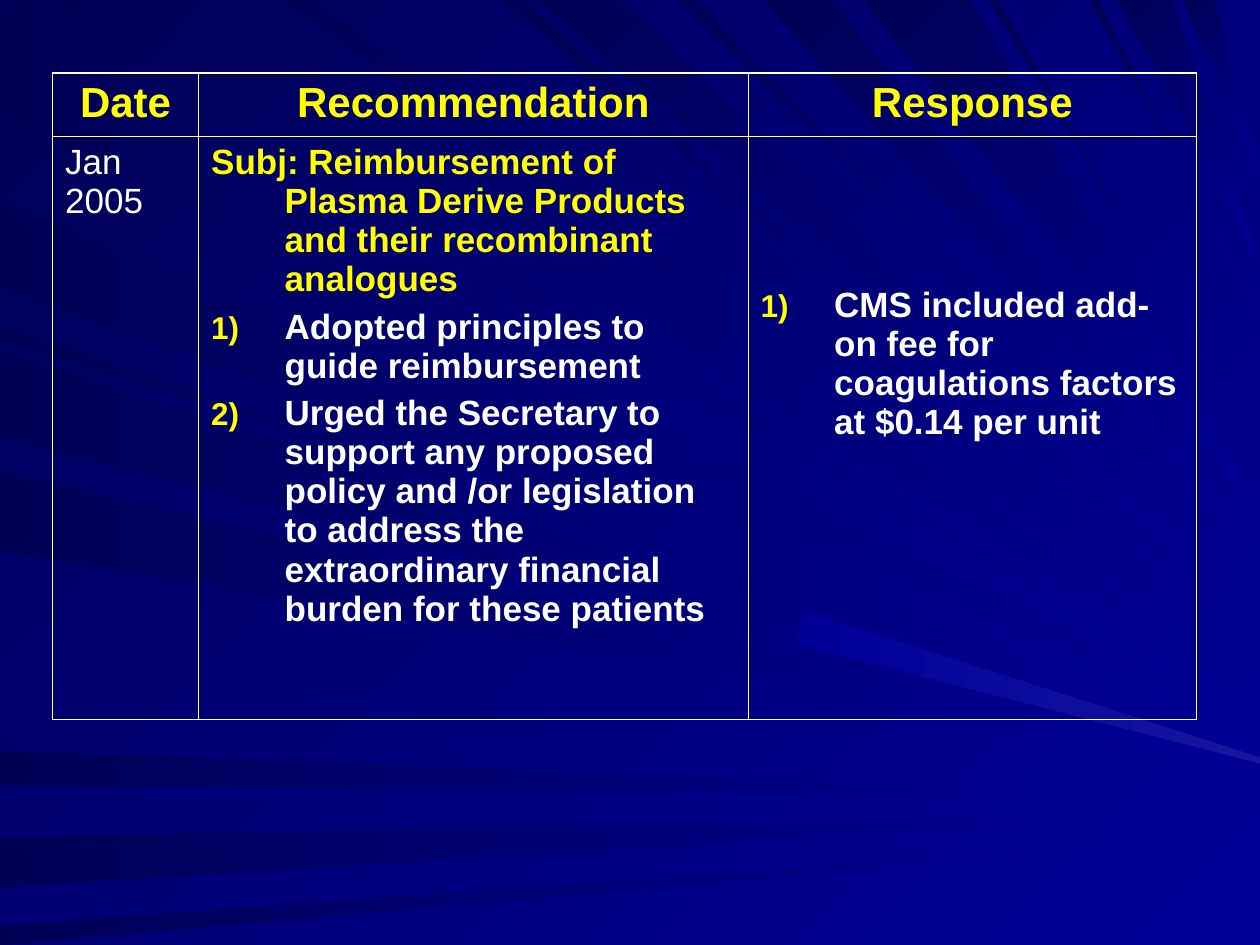
from lxml import etree
from pptx import Presentation
from pptx.dml.color import RGBColor
from pptx.enum import text
from pptx.oxml import ns
from pptx.util import Pt

WHITE = RGBColor(0xFF, 0xFF, 0xFF)
YELLOW = RGBColor(0xFF, 0xFF, 0x00)
NAVY = RGBColor(0x00, 0x00, 0x99)
DARK = RGBColor(0x00, 0x00, 0x57)
GLOW = RGBColor(0x16, 0x16, 0xA1)
FONT = "Arial"
OUTER, INNER = 1.08, 0.45  # border widths
HANG = 42  # hanging indent

# Light rays in thousandths of the width: from, to on the edge, tip on the right
LEFT_RAYS = [(2, 93, 570), (596, 623, 632), (665, 704, 643), (735, 750, 662),
             (258, 270, 589), (159, 228, 585), (374, 437, 606), (278, 347, 604)]
TOP_RAYS = [(26, 101, 563), (398, 416, 518), (426, 492, 493), (540, 552, 463),
            (606, 661, 446), (887, 930, 210), (939, 964, 140), (225, 247, 550),
            (686, 770, 409), (785, 792, 357), (865, 872, 254)]
GLOW_RAY = [(633, 511), (637, 485), (1000, 601), (1000, 606)]

# Table cells: each paragraph is (text, colour, layout)
HEADER = [[(t, YELLOW, "title")] for t in ("Date", "Recommendation", "Response")]
BODY = [
    [("Jan 2005", WHITE, "plain")],
    [("Subj: Reimbursement of Plasma Derive Products and their recombinant analogues",
      YELLOW, "hang"),
     ("Adopted principles to guide reimbursement", WHITE, "number"),
     ("Urged the Secretary to support any proposed policy and /or legislation to address "
      "the extraordinary financial burden for these patients", WHITE, "number")],
    [("CMS included add-on fee for coagulations factors at $0.14 per unit",
      WHITE, "number")],
]


def set_gradient(fill, start, end, angle):
    """Linear gradient, angle clockwise."""
    fill.gradient()
    fill.gradient_angle = 360 - angle
    for stop, color in zip(fill.gradient_stops, (start, end)):
        stop.color.rgb = color


def add_ray(s, left, top, width, corners, start, end, angle):
    unit = width / 1000
    points = [(round(x * unit), round(y * unit)) for x, y in corners]
    fb = s.shapes.build_freeform(*points[0])
    fb.add_line_segments(points[1:])
    sp = fb.convert_to_shape(left, top)
    sp.shadow.inherit = False
    sp.line.fill.background()
    set_gradient(sp.fill, start, end, angle)


def add_rays(s, left, top, width):
    box = (left, top, width)
    for a, b, tip in TOP_RAYS:
        add_ray(s, *box, [(a, 0), (b, 0), (1000, tip)], NAVY, DARK, 225)
    for a, b, tip in LEFT_RAYS:
        add_ray(s, *box, [(0, a), (0, b), (1000, tip)], NAVY, DARK, 180)
    add_ray(s, *box, GLOW_RAY, GLOW, NAVY, 180)


def set_borders(cell, widths):
    tcPr = cell._tc.get_or_add_tcPr()
    for i, (side, width) in enumerate(zip("LRTB", widths)):
        ln = etree.Element(ns.qn(f"a:ln{side}"), w=str(Pt(width)))
        fill = etree.SubElement(ln, ns.qn("a:solidFill"))
        etree.SubElement(fill, ns.qn("a:srgbClr"), val=str(WHITE))
        tcPr.insert(i, ln)


def set_paragraph(p, content, color, layout):
    p.text = content
    pPr = p._p.get_or_add_pPr()
    if layout == "title":
        p.alignment = text.PP_ALIGN.CENTER
    if layout in ("hang", "number"):
        pPr.set("marL", str(Pt(HANG)))
        pPr.set("indent", str(Pt(-HANG)))
    if layout == "number":
        clr = etree.SubElement(pPr, ns.qn("a:buClr"))
        etree.SubElement(clr, ns.qn("a:srgbClr"), val=str(YELLOW))
        etree.SubElement(pPr, ns.qn("a:buSzPct"), val="90000")
        etree.SubElement(pPr, ns.qn("a:buAutoNum"), type="arabicParenR")
    for r in p.runs:
        r.font.name = FONT
        r.font.size = Pt(24 if layout == "title" else 20)
        r.font.bold = layout != "plain"
        r.font.color.rgb = color


def add_recommendations(s, left, top, width, height):
    tbl = s.shapes.add_table(2, 3, left, top, width, height).table
    tbl.first_row = tbl.horz_banding = False
    for col, w in zip(tbl.columns, (83.5, 314, 256.3)):
        col.width = Pt(w)
    tbl.rows[0].height = Pt(36)
    tbl.rows[1].height = height - Pt(36)

    for i, row in enumerate((HEADER, BODY)):
        for j, paragraphs in enumerate(row):
            cell = tbl.cell(i, j)
            cell.fill.background()
            at_edge = (j == 0, j == 2, i == 0, i == 1)
            set_borders(cell, [OUTER if edge else INNER for edge in at_edge])
            tf = cell.text_frame
            for k, item in enumerate(paragraphs):
                p = tf.add_paragraph() if k else tf.paragraphs[0]
                set_paragraph(p, *item)
                if k:
                    p.space_before = Pt(5)
    # The response starts lower than the subject line
    tbl.cell(1, 2).margin_top = Pt(85.3)


def main():
    prs = Presentation()
    prs.slide_width, prs.slide_height = Pt(720), Pt(540)
    s = prs.slides.add_slide(prs.slide_layouts[6])
    set_gradient(s.background.fill, NAVY, DARK, 225)
    add_rays(s, 0, 0, prs.slide_width)
    add_recommendations(s, Pt(30), Pt(41.8), Pt(653.8), Pt(369.4))
    prs.save("out.pptx")


if __name__ == "__main__":
    main()
